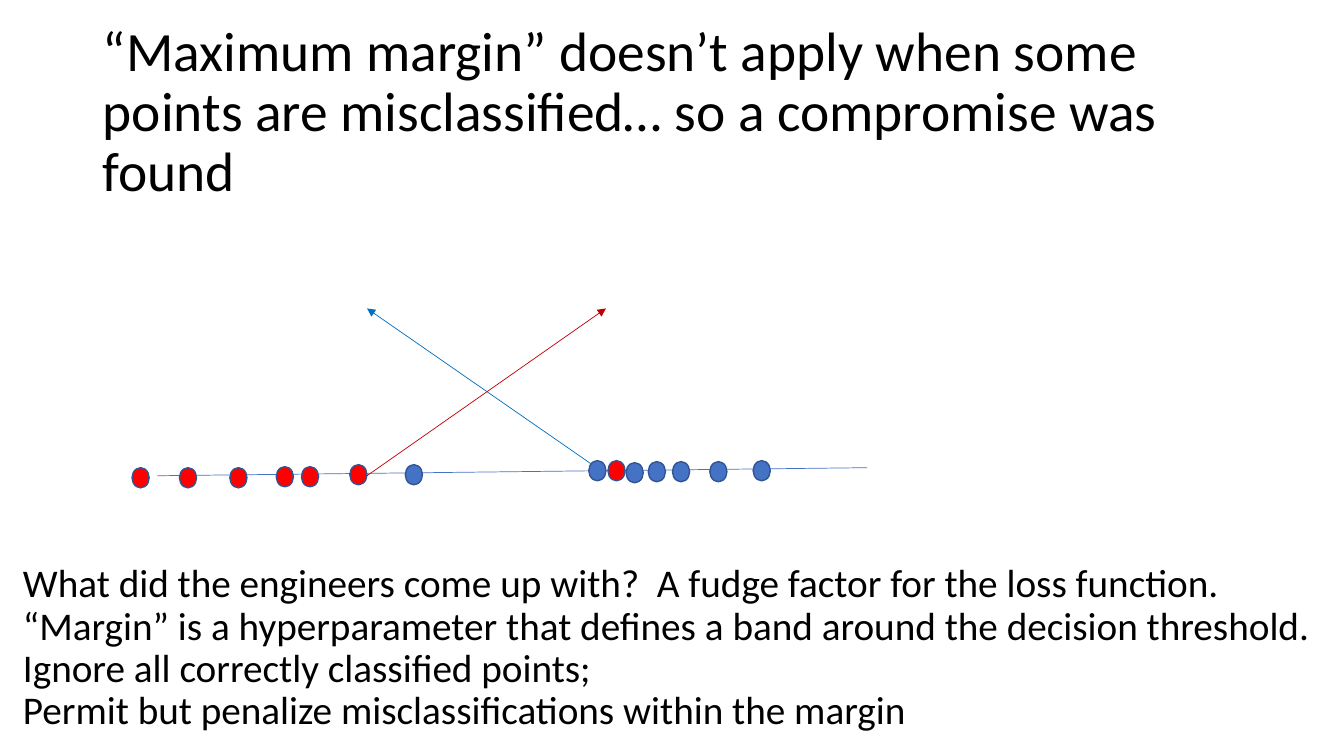
import pptx
import pptx.dml.color
import pptx.enum.shapes
import pptx.enum.text
import pptx.oxml
import pptx.oxml.ns
import pptx.util
from pptx.util import Inches

TITLE = "“Maximum margin” doesn’t apply when some points are misclassified… so a compromise was found"
EXPLANATION = [
    "What did the engineers come up with?  A fudge factor for the loss function.",
    "“Margin” is a hyperparameter that defines a band around the decision threshold.",
    "Ignore all correctly classified points;",
    "Permit but penalize misclassifications within the margin",
]
RED, BLUE, OUTLINE, BLACK = "FF0000", "4472C4", "325491", "000000"
DOT_WIDTH, DOT_HEIGHT = 0.17, 0.2
BLUE_CLASS = [(4.02, 4.61), (5.84, 4.57), (6.21, 4.59), (6.43, 4.58),
              (6.67, 4.58), (7.04, 4.58), (7.47, 4.57)]
RED_CLASS = [(1.31, 4.64), (1.78, 4.64), (2.28, 4.64), (2.74, 4.63),
             (2.99, 4.63), (3.47, 4.61), (6.03, 4.57)]


def rgb(hex_colour):
    """Return a colour object for a hex string."""
    return pptx.dml.color.RGBColor.from_string(hex_colour)


def apply_format(target, values):
    """Set each attribute of target from a dict."""
    for name, value in values.items():
        setattr(target, name, value)


def write_text(frame, lines, size, bottom_inset=0.05):
    """Fill a text frame with left-aligned paragraphs, centred vertically."""
    frame.text = "\n".join(lines)
    apply_format(frame, {
        "word_wrap": True,
        "auto_size": pptx.enum.text.MSO_AUTO_SIZE.NONE,
        "vertical_anchor": pptx.enum.text.MSO_ANCHOR.MIDDLE,
        "margin_left": Inches(0.1), "margin_right": Inches(0.1),
        "margin_top": Inches(0.05), "margin_bottom": Inches(bottom_inset),
    })
    for paragraph in frame.paragraphs:
        apply_format(paragraph, {
            "alignment": pptx.enum.text.PP_ALIGN.LEFT, "line_spacing": 0.9,
            "space_before": pptx.util.Pt(0),
        })
        apply_format(paragraph.font, {"name": "Calibri", "size": pptx.util.Pt(size)})
        paragraph.font.color.rgb = rgb(BLACK)


def add_title(slide):
    """Place and format the title placeholder."""
    title = slide.shapes.title
    apply_format(title, {"left": Inches(0.92), "top": Inches(0.4),
                         "width": Inches(11.5), "height": Inches(1.45)})
    write_text(title.text_frame, [TITLE], 39.6)


def add_explanation(slide):
    """Add the explanation below the number line."""
    box = slide.shapes.add_textbox(Inches(0.13), Inches(5.12), Inches(13.2), Inches(3.06))
    write_text(box.text_frame, EXPLANATION, 28, bottom_inset=0.48)


def add_line(slide, start, end, colour, arrow=False):
    """Draw a thin straight line, with an arrowhead at its end if asked."""
    line = slide.shapes.add_connector(
        pptx.enum.shapes.MSO_CONNECTOR.STRAIGHT, *map(Inches, start + end))
    line.line.color.rgb = rgb(colour)
    line.line.width = pptx.util.Pt(0.5)
    properties = line._element.spPr
    if arrow:
        head = pptx.oxml.parse_xml(
            f'<a:tailEnd {pptx.oxml.ns.nsdecls("a")} type="triangle"/>')
        line.line._get_or_add_ln().append(head)
    properties.append(pptx.oxml.parse_xml(f'<a:effectLst {pptx.oxml.ns.nsdecls("a")}/>'))


def add_points(slide, positions, colour):
    """Draw the data points of one class."""
    for left, top in positions:
        point = slide.shapes.add_shape(
            pptx.enum.shapes.MSO_SHAPE.OVAL,
            *map(Inches, (left, top, DOT_WIDTH, DOT_HEIGHT)))
        point.shadow.inherit = False
        point.fill.solid()
        point.fill.fore_color.rgb = rgb(colour)
        point.line.color.rgb = rgb(OUTLINE)
        point.line.width = pptx.util.Pt(1)


def main():
    """Build and save the slide."""
    deck = pptx.Presentation()
    apply_format(deck, {"slide_width": Inches(13.33), "slide_height": Inches(7.5)})
    slide = deck.slides.add_slide(deck.slide_layouts[5])
    add_title(slide)
    add_line(slide, (1.56, 4.72), (8.6, 4.64), BLUE)
    add_points(slide, BLUE_CLASS, BLUE)
    add_points(slide, RED_CLASS, RED)
    add_explanation(slide)
    add_line(slide, (3.64, 4.72), (6.01, 3.06), "C00000", arrow=True)
    add_line(slide, (5.86, 4.6), (3.64, 3.06), "0070C0", arrow=True)
    deck.save("out.pptx")


if __name__ == "__main__":
    main()
